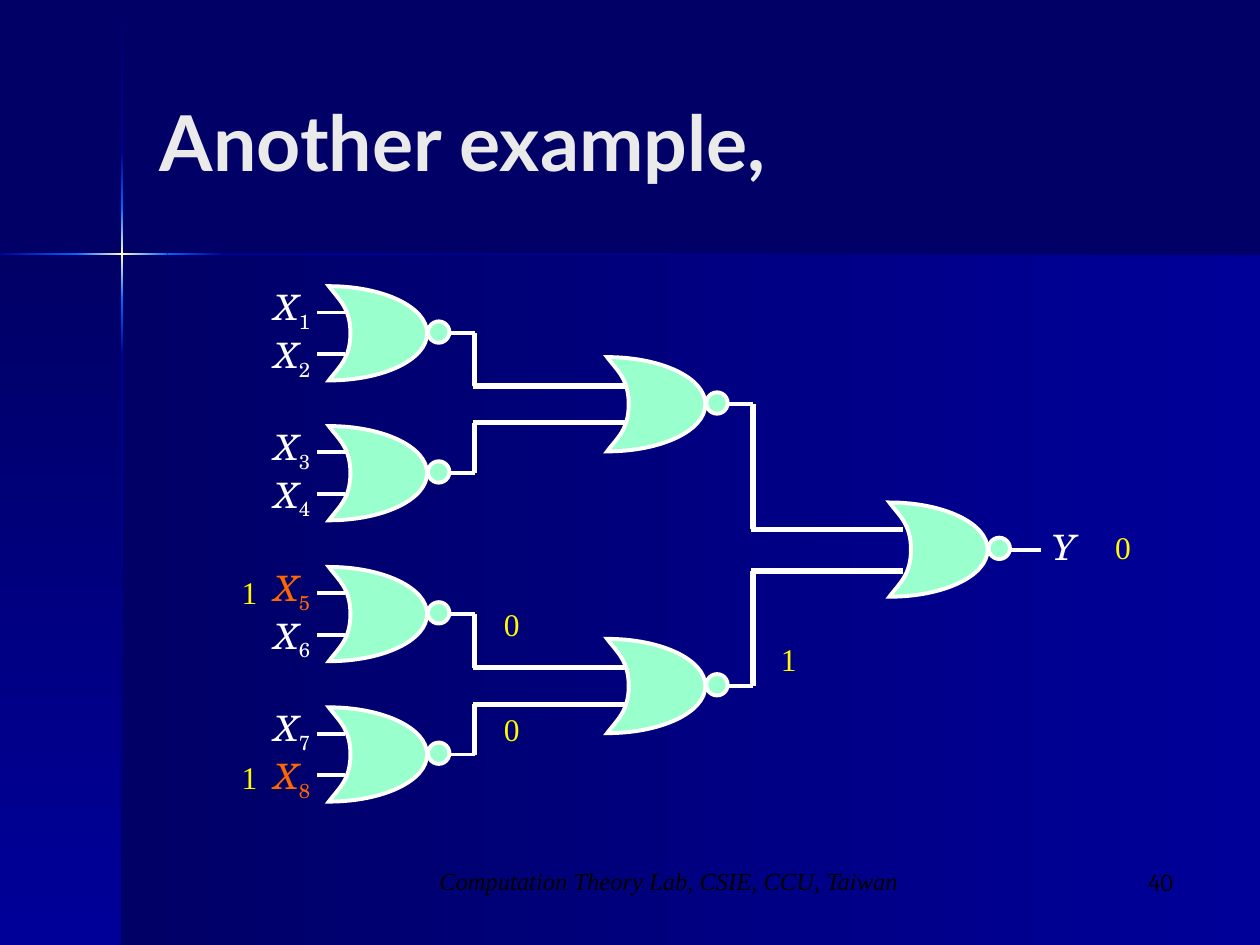
from pptx import Presentation
from pptx.dml.color import RGBColor
from pptx.enum.shapes import MSO_CONNECTOR as CONN, MSO_SHAPE as SHAPE
from pptx.enum.text import MSO_ANCHOR as ANCHOR, MSO_AUTO_SIZE as AUTO, PP_ALIGN as ALIGN
from pptx.oxml.xmlchemy import OxmlElement
from pptx.util import Cm, Pt

COLORS = {
    "night": "000066", "navy": "000099", "blue": "0066FF", "glow": "FFFFCC",
    "mint": "99FFCC", "white": "FFFFFF", "orange": "FF6600",
    "yellow": "FFFA00", "title": "EAEAEA", "black": "000000",
}
RIGHT_TO_LEFT, DOWN = 180, 90

# Left, top, width, height, gradient angle, colours
BACKDROP = [
    (2.46, 5.13, 22.94, 13.92, RIGHT_TO_LEFT, ("navy", "night")),
    (0, 5.13, 2.46, 13.92, DOWN, ("night", "navy")),
    (2.44, 0.03, 0.04, 3.04, DOWN, ("night", "navy")),
    (2.44, 7.16, 0.04, 11.89, DOWN, ("navy", "night")),
    (4.5, 5.1, 20.9, 0.04, RIGHT_TO_LEFT, ("night", "navy")),
    (2.44, 6.05, 0.04, 1.11, DOWN, ("blue", "navy")),
    (2.44, 3.07, 0.04, 1.12, DOWN, ("navy", "blue")),
    (2.44, 4.19, 0.04, 1.86, DOWN, ("blue", "glow", "blue")),
    (0, 5.1, 1.54, 0.04, RIGHT_TO_LEFT, ("blue", "navy")),
    (3.38, 5.1, 1.12, 0.04, RIGHT_TO_LEFT, ("navy", "blue")),
    (1.53, 5.1, 1.85, 0.04, RIGHT_TO_LEFT, ("blue", "glow", "blue")),
]

GATE_W, GATE_H = 1.98, 1.9
# Bezier control points of a gate from its top left, as fractions of its size
GATE_CURVES = [
    (0.1, 0.14), (0.22, 0.23), (0.22, 0.5),
    (0.22, 0.77), (0.1, 0.86), (0, 1),
    (0.55, 1), (1, 0.78), (1, 0.5),
    (1, 0.22), (0.55, 0), (0, 0),
]
BUBBLE = 0.43
OUT_X, OUT_Y = 2.94, 0.95
INPUT_YS = (0.53, 1.37)

INPUT_GATES = [(6.63, y) for y in (5.77, 8.59, 11.43, 14.26)]
MIDDLE_GATES = [(12.24, y) for y in (7.2, 12.88)]
LAST_GATE = (17.93, 10.13)
FORCED_INPUTS = {5, 8}

VALUES = [("1", 4.62, 11.43), ("1", 4.62, 15.16), ("0", 9.91, 12.07),
          ("0", 9.91, 14.19), ("1", 15.49, 12.78), ("0", 22.23, 10.51)]


def rgb(name):
    return RGBColor.from_string(COLORS[name])


def format_run(r, color, **font):
    for key, value in font.items():
        setattr(r.font, key, value)
    r.font.color.rgb = rgb(color)


def add_bar(shapes, left, top, width, height, angle, colors):
    """Add a rectangle with evenly spaced gradient stops."""
    sp = shapes.add_shape(SHAPE.RECTANGLE, Cm(left), Cm(top), Cm(width), Cm(height))
    sp.shadow.inherit = False
    sp.line.fill.background()
    sp.fill.gradient()
    sp.fill.gradient_angle = -angle % 360
    grad = sp._element.spPr.find(".//{*}gsLst")
    for stop in list(grad):
        grad.remove(stop)
    for i, color in enumerate(colors):
        gs = OxmlElement("a:gs")
        gs.set("pos", str(100000 * i // (len(colors) - 1)))
        clr = OxmlElement("a:srgbClr")
        clr.set("val", COLORS[color])
        gs.append(clr)
        grad.append(gs)
    return sp


def add_backdrop(slide, master):
    """Put the bars on the master, behind its placeholders."""
    tree = master.shapes._spTree
    for i, bar in enumerate(BACKDROP):
        tree.insert(2 + i, add_bar(slide.shapes, *bar)._element)


def add_line(shapes, x1, y1, x2, y2, width=2.25):
    line = shapes.add_connector(CONN.STRAIGHT, Cm(x1), Cm(y1), Cm(x2), Cm(y2))
    line.line.color.rgb = rgb("white")
    line.line.width = Pt(width)
    line._element.spPr.append(OxmlElement("a:effectLst"))


def paint(sp):
    sp.shadow.inherit = False
    sp.fill.solid()
    sp.fill.fore_color.rgb = rgb("mint")
    sp.line.color.rgb = rgb("white")
    sp.line.width = Pt(2.25)
    miter = OxmlElement("a:miter")
    miter.set("lim", "800000")
    sp.line._get_or_add_ln().append(miter)


def curve_outline(sp):
    """Turn each three line segments of a freeform into one Bezier curve."""
    segments = sp._element.spPr.findall(".//{*}lnTo")
    for i in range(0, len(segments), 3):
        curve = OxmlElement("a:cubicBezTo")
        segments[i].addprevious(curve)
        for segment in segments[i:i + 3]:
            curve.append(segment[0])
            segment.getparent().remove(segment)


def add_gate(shapes, x, y, out_x=OUT_X):
    """Add a NOR gate with its output lead."""
    builder = shapes.build_freeform(Cm(x), Cm(y))
    builder.add_line_segments(
        [(Cm(x + GATE_W * fx), Cm(y + GATE_H * fy)) for fx, fy in GATE_CURVES], close=True)
    body = builder.convert_to_shape()
    curve_outline(body)
    paint(body)
    add_line(shapes, x + GATE_W, y + OUT_Y, x + out_x, y + OUT_Y)
    paint(shapes.add_shape(SHAPE.OVAL, Cm(x + 2), Cm(y + 0.71), Cm(BUBBLE), Cm(BUBBLE)))


def add_text(shapes, box, lines, align=ALIGN.LEFT, wrap=True, anchor=ANCHOR.TOP):
    """Add a text box; each line is a list of (text, color, font, subscript)."""
    tf = shapes.add_textbox(*map(Cm, box)).text_frame
    for key, value in dict(word_wrap=wrap, vertical_anchor=anchor, auto_size=AUTO.NONE).items():
        setattr(tf, key, value)
    for i, runs in enumerate(lines):
        p = tf.add_paragraph() if i else tf.paragraphs[0]
        p.alignment = align
        for text, color, font, subscript in runs:
            r = p.add_run()
            r.text = text
            format_run(r, color, **font)
            if subscript:
                r.font._element.set("baseline", "-25000")


def add_symbols(shapes, box, lines):
    add_text(shapes, box, lines, ALIGN.CENTER, wrap=False, anchor=ANCHOR.MIDDLE)


def add_inputs(shapes, x, y, first):
    """Add both input leads of a gate and their names."""
    for dy in INPUT_YS:
        add_line(shapes, x - 0.23, y + dy, x + 0.33, y + dy)
    font = dict(name="TeX Gyre Schola", size=Pt(20))
    lines = []
    for n in (first, first + 1):
        color = "orange" if n in FORCED_INPUTS else "white"
        lines.append([("X", color, dict(font, italic=True), False),
                      (str(n), color, font, True)])
    add_symbols(shapes, (x - 1.35, y - 0.14, 1.22, 2.18), lines)


def connect(shapes, sources, target, taps, reach):
    """Wire the outputs of two gates to the taps of the next one."""
    for (x, y), tap in zip(sources, taps):
        corner, level = x + OUT_X, target[1] + tap
        add_line(shapes, corner, y + OUT_Y, corner, level, 3)
        add_line(shapes, corner - 0.04, level, target[0] + reach, level, 3)


def add_title(slide, text):
    title = slide.shapes.title
    for key, value in dict(left=2.97, top=0.84, width=20.96, height=3.99).items():
        setattr(title, key, Cm(value))
    tf = title.text_frame
    tf.auto_size = AUTO.NONE
    tf.vertical_anchor = ANCHOR.MIDDLE
    p = tf.paragraphs[0]
    p.alignment = ALIGN.LEFT
    r = p.add_run()
    r.text = text
    format_run(r, "title", name="Lato", size=Pt(44), bold=True)


def main():
    prs = Presentation()
    prs.slide_width, prs.slide_height = Cm(25.4), Cm(19.05)
    slide = prs.slides.add_slide(prs.slide_layouts[5])
    shapes = slide.shapes
    slide.background.fill.solid()
    slide.background.fill.fore_color.rgb = rgb("night")

    add_backdrop(slide, prs.slide_master)
    add_title(slide, "Another example,")

    for i, gate in enumerate(INPUT_GATES):
        add_gate(shapes, *gate)
        add_inputs(shapes, *gate, first=2 * i + 1)
    for i, gate in enumerate(MIDDLE_GATES):
        add_gate(shapes, *gate)
        connect(shapes, INPUT_GATES[2 * i:2 * i + 2], gate, (0.58, 1.32), 0.36)
    connect(shapes, MIDDLE_GATES, LAST_GATE, (0.54, 1.38), 0.28)
    add_gate(shapes, *LAST_GATE, out_x=3.05)

    symbol = dict(name="TeX Gyre Schola", size=Pt(20), italic=True)
    add_symbols(shapes, (20.96, 10.46, 0.99, 1.12), [[("Y", "white", symbol, False)]])
    roman = dict(name="Times New Roman", size=Pt(18))
    for text, x, y in VALUES:
        add_text(shapes, (x, y, 0.94, 1.02), [[(text, "yellow", roman, False)]])

    footer = dict(name="Times New Roman", size=Pt(14), italic=True)
    add_text(shapes, (7.95, 17.33, 11.07, 1.27),
             [[("Computation Theory Lab, CSIE, CCU, Taiwan", "black", footer, False)]], ALIGN.CENTER)
    number = dict(name="Cambria", size=Pt(14))
    add_text(shapes, (18.62, 17.35, 5.28, 1.27), [[("40", "black", number, False)]], ALIGN.RIGHT)
    prs.save("out.pptx")


if __name__ == "__main__":
    main()
